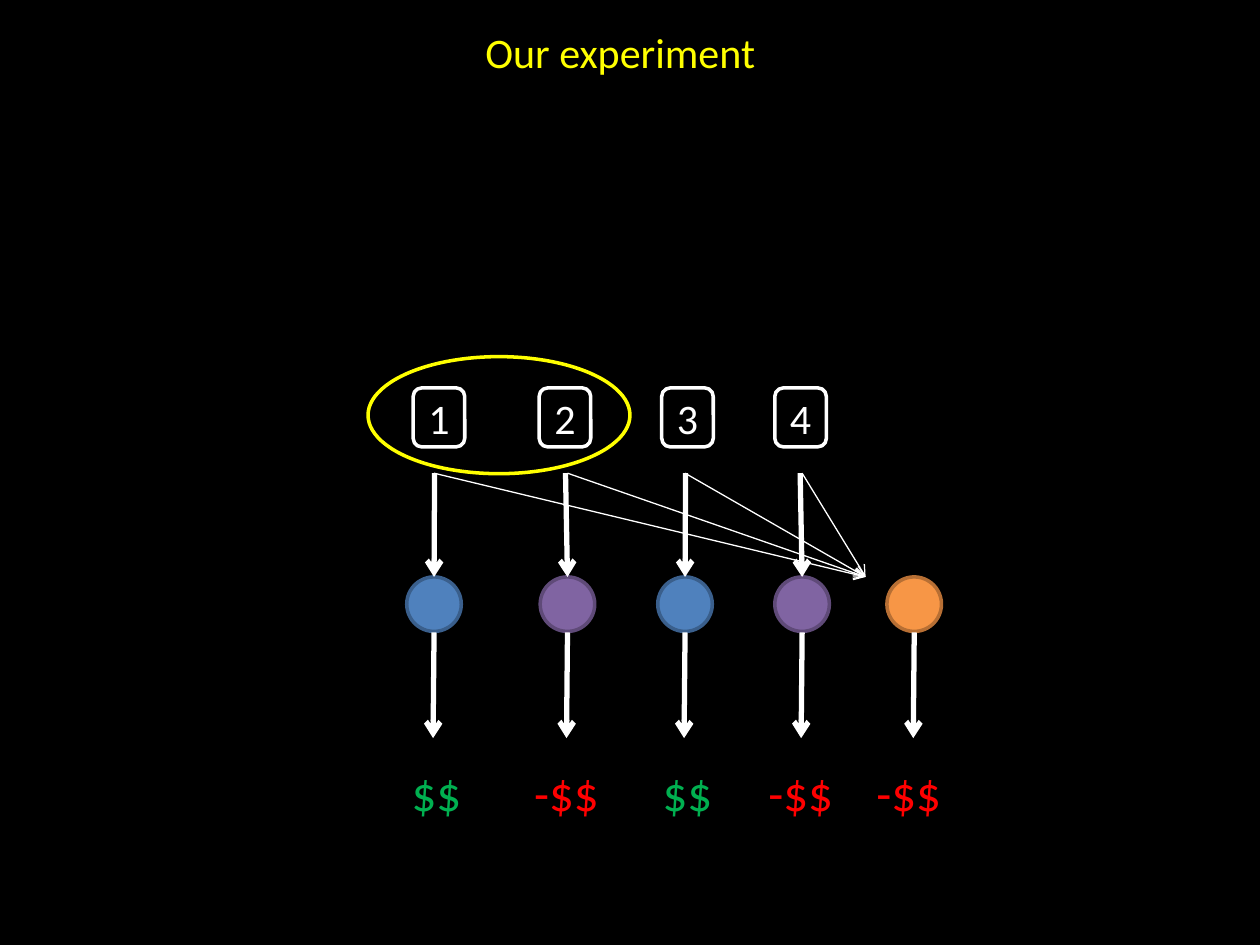
from dataclasses import dataclass
from typing import Optional

from lxml import etree
from pptx import Presentation
from pptx.dml.color import RGBColor
from pptx.enum.shapes import MSO_CONNECTOR, MSO_SHAPE
from pptx.enum.text import MSO_ANCHOR, MSO_AUTO_SIZE, PP_ALIGN
from pptx.oxml.ns import qn
from pptx.util import Cm, Pt

OVAL = MSO_SHAPE.OVAL
ROUNDED = MSO_SHAPE.ROUNDED_RECTANGLE
STRAIGHT = MSO_CONNECTOR.STRAIGHT
LEFT, CENTER = PP_ALIGN.LEFT, PP_ALIGN.CENTER
TOP, MIDDLE = MSO_ANCHOR.TOP, MSO_ANCHOR.MIDDLE
FIT_SHAPE = MSO_AUTO_SIZE.SHAPE_TO_FIT_TEXT


@dataclass(frozen=True)
class Theme:
    font: str = "Calibri"
    background: str = "000000"
    ink: str = "FFFFFF"
    accent: str = "FFFF00"
    gain: str = "00B050"
    loss: str = "FF0000"
    text_size: float = 24
    payoff_size: float = 28
    outline: float = 2
    thick: float = 3
    thin: float = 0.75


@dataclass(frozen=True)
class Paint:
    fill: Optional[str]
    line: str


@dataclass(frozen=True)
class Column:
    """One trial type; horizontal places in cm."""
    center: float
    paint: Paint
    wins: bool
    payoff_left: float
    cue_left: Optional[float] = None
    arrow_start: Optional[float] = None


THEME = Theme()
BLUE = Paint("4F81BD", "3A5F8C")
PURPLE = Paint("8064A2", "5F4A78")
ORANGE = Paint("F79646", "B76F34")
WHITE_OUTLINE = Paint(None, THEME.ink)
YELLOW_OUTLINE = Paint(None, THEME.accent)

COLUMNS = [
    Column(8.75, BLUE, True, 8.05, 8.33, 8.76),
    Column(11.44, PURPLE, False, 10.52, 10.87, 11.4),
    Column(13.81, BLUE, True, 13.11, 13.34, 13.82),
    Column(16.17, PURPLE, False, 15.24, 15.62, 16.13),
    Column(18.43, ORANGE, False, 17.42),
]
CUE_TOP, CUE_WIDTH, CUE_HEIGHT = 7.82, 1.04, 1.19
CUE_FOOT = 9.54
CIRCLE_TOP, CIRCLE_SIZE = 11.63, 1.1
CIRCLE_FOOT, PAYOFF_ARROW_END = 12.75, 14.88
PAYOFF_TOP, PAYOFF_HEIGHT = 15.24, 1.45
FAN_TIP = 17.45


def write(frame, text: str, *, size: float, color: str, align=LEFT, anchor=TOP, wrap=False) -> None:
    frame.word_wrap = wrap
    frame.vertical_anchor = anchor
    if not wrap:
        frame.auto_size = FIT_SHAPE
    para = frame.paragraphs[0]
    para.alignment = align
    span = para.add_run()
    span.text = text
    span.font.name = THEME.font
    span.font.size = Pt(size)
    span.font.color.rgb = RGBColor.from_string(color)


def add_figure(page, kind, left: float, top: float, width: float, height: float, paint: Paint):
    shape = page.shapes.add_shape(kind, Cm(left), Cm(top), Cm(width), Cm(height))
    shape.shadow.inherit = False
    if paint.fill:
        shape.fill.solid()
        shape.fill.fore_color.rgb = RGBColor.from_string(paint.fill)
    else:
        shape.fill.background()
    shape.line.color.rgb = RGBColor.from_string(paint.line)
    shape.line.width = Pt(THEME.outline)
    return shape


def add_arrow(page, start: tuple[float, float], end: tuple[float, float], width: float) -> None:
    arrow = page.shapes.add_connector(STRAIGHT, *map(Cm, start + end))
    arrow.line.color.rgb = RGBColor.from_string(THEME.ink)
    arrow.line.width = Pt(width)
    etree.SubElement(arrow.line._get_or_add_ln(), qn("a:tailEnd"), type="arrow")
    etree.SubElement(arrow._element.spPr, qn("a:effectLst"))


def add_title(page, text: str) -> None:
    title = page.shapes.title
    title.left, title.top, title.width, title.height = Cm(9.53), Cm(0.41), Cm(6.02), Cm(1.27)
    write(title.text_frame, text, size=THEME.text_size, color=THEME.accent)


def add_outcome(page, column: Column) -> None:
    """Circle, arrow below it and payoff."""
    add_figure(page, OVAL, column.center - CIRCLE_SIZE / 2, CIRCLE_TOP,
               CIRCLE_SIZE, CIRCLE_SIZE, column.paint)
    add_arrow(page, (column.center, CIRCLE_FOOT),
              (column.center - 0.02, PAYOFF_ARROW_END), THEME.thick)
    box = page.shapes.add_textbox(Cm(column.payoff_left), Cm(PAYOFF_TOP),
                                  Cm(1.52 if column.wins else 1.83), Cm(PAYOFF_HEIGHT))
    write(box.text_frame, "$$" if column.wins else "-$$", size=THEME.payoff_size,
          color=THEME.gain if column.wins else THEME.loss)


def add_cue(page, number: int, column: Column) -> None:
    """Numbered box with its main arrow and its thin arrow to the last circle."""
    cue = add_figure(page, ROUNDED, column.cue_left, CUE_TOP, CUE_WIDTH, CUE_HEIGHT, WHITE_OUTLINE)
    write(cue.text_frame, str(number), size=THEME.text_size, color=THEME.ink,
          align=CENTER, anchor=MIDDLE, wrap=True)
    add_arrow(page, (column.arrow_start, CUE_FOOT), (column.center, CIRCLE_TOP), THEME.thick)
    add_arrow(page, (column.center, CUE_FOOT), (FAN_TIP, CIRCLE_TOP), THEME.thin)


def main() -> None:
    deck = Presentation()
    deck.slide_width, deck.slide_height = Cm(25.4), Cm(19.05)
    page = deck.slides.add_slide(deck.slide_layouts.get_by_name("Title Only"))
    page.background.fill.solid()
    page.background.fill.fore_color.rgb = RGBColor.from_string(THEME.background)

    add_title(page, "Our experiment")
    for number, column in enumerate(COLUMNS, start=1):
        add_outcome(page, column)
        if column.cue_left is not None:
            add_cue(page, number, column)
    add_figure(page, OVAL, 7.42, 7.19, 5.28, 2.36, YELLOW_OUTLINE)
    deck.save("out.pptx")


if __name__ == "__main__":
    main()
